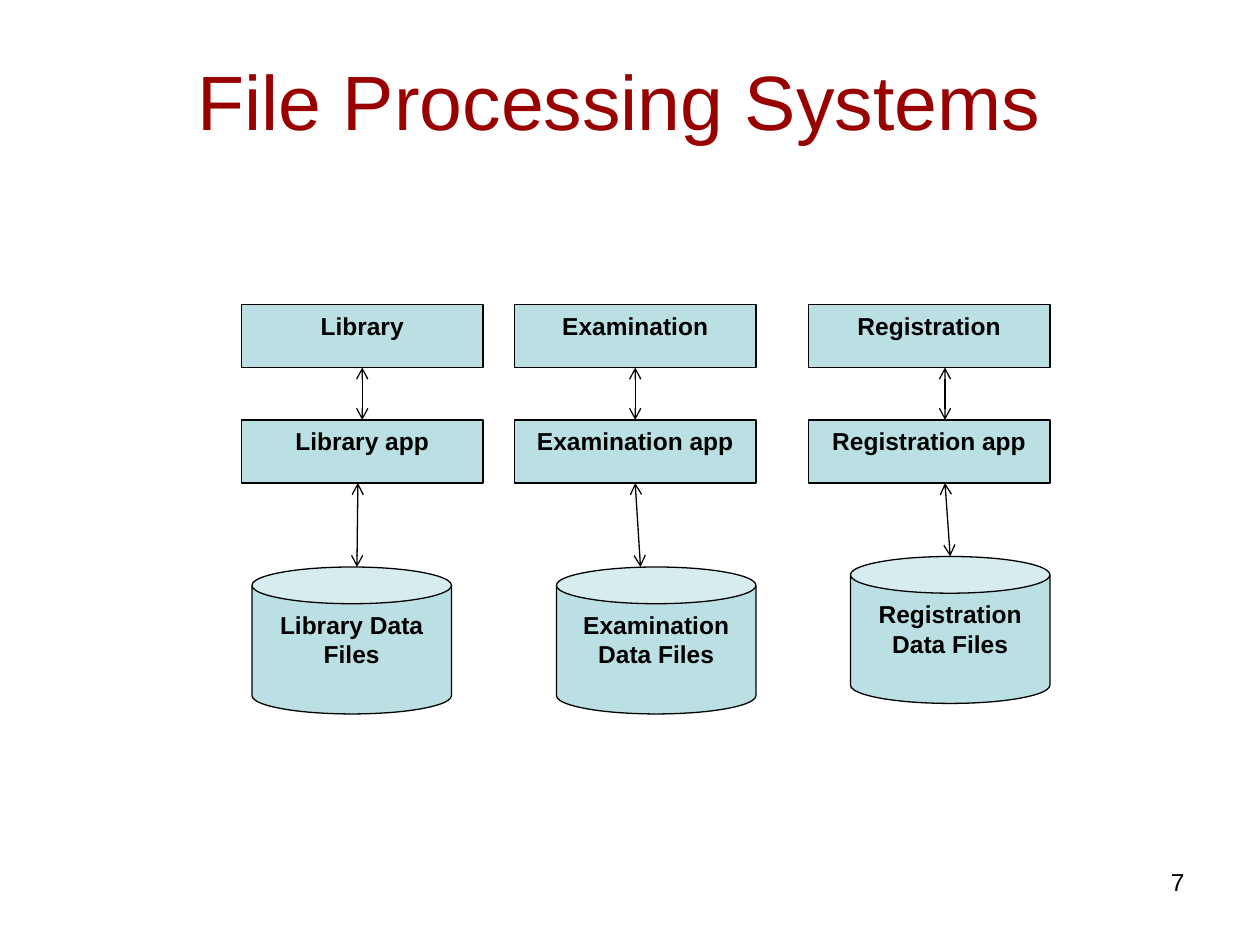
from lxml import etree
from pptx import Presentation
from pptx.dml.color import RGBColor
from pptx.enum import shapes, text
from pptx.oxml import ns
from pptx.util import Pt

RED = RGBColor(0x99, 0x00, 0x00)
BLACK = RGBColor(0x00, 0x00, 0x00)
TEAL = RGBColor(0xBB, 0xE0, 0xE3)

BOX_W, BOX_H = 138, 36
CAN_W, CAN_H = 114, 84
UNIT_Y, APP_Y = 174, 240

# name, box left, can left, can top, arrow x, x at both ends of the lower arrow
SYSTEMS = [
    ("Library", 138, 144, 324, 207, (204.5, 204)),
    ("Examination", 294, 318, 324, 363, (363, 366)),
    ("Registration", 462, 486, 318, 540, (540, 543)),
]


def put_text(shape, words, size=14, bold=False, color=BLACK,
             align=text.PP_ALIGN.CENTER, anchor=text.MSO_ANCHOR.TOP):
    frame = shape.text_frame
    frame.word_wrap = True
    frame.auto_size = text.MSO_AUTO_SIZE.NONE
    frame.vertical_anchor = anchor
    para = frame.paragraphs[0]
    para.alignment = align
    run = para.add_run()
    run.text = words
    font = run.font
    font.name, font.size, font.bold = "Arial", Pt(size), bold
    font.color.rgb = color


def add_title(slide, words):
    title = slide.shapes.title
    title.left, title.top = Pt(30), Pt(12)
    title.width, title.height = Pt(648), Pt(90)
    put_text(title, words, size=44, color=RED, anchor=text.MSO_ANCHOR.MIDDLE)


def add_node(slide, kind, words, x, y, w, h):
    node = slide.shapes.add_shape(kind, Pt(x), Pt(y), Pt(w), Pt(h))
    node.shadow.inherit = False
    node.fill.solid()
    node.fill.fore_color.rgb = TEAL
    node.line.color.rgb = BLACK
    node.line.width = Pt(0.75)
    put_text(node, words, bold=True)


def add_arrow(slide, x1, y1, x2, y2):
    """Draw a line with an open arrowhead at each end."""
    arrow = slide.shapes.add_connector(
        shapes.MSO_CONNECTOR.STRAIGHT, Pt(x1), Pt(y1), Pt(x2), Pt(y2))
    arrow.line.color.rgb = BLACK
    arrow.line.width = Pt(0.75)
    props = arrow.line._get_or_add_ln()
    for end in ("a:headEnd", "a:tailEnd"):
        etree.SubElement(props, ns.qn(end), type="arrow")
    etree.SubElement(props.getparent(), ns.qn("a:effectLst"))


def add_system(slide, name, box_x, can_x, can_y, mid, low):
    rect, can = shapes.MSO_SHAPE.RECTANGLE, shapes.MSO_SHAPE.CAN
    add_node(slide, rect, name, box_x, UNIT_Y, BOX_W, BOX_H)
    add_node(slide, rect, f"{name} app", box_x, APP_Y, BOX_W, BOX_H)
    add_node(slide, can, f"{name} Data Files", can_x, can_y, CAN_W, CAN_H)
    add_arrow(slide, mid, UNIT_Y + BOX_H, mid, APP_Y)
    add_arrow(slide, low[0], APP_Y + BOX_H, low[1], can_y)


def add_number(slide, words):
    box = slide.shapes.add_textbox(Pt(516), Pt(492), Pt(168), Pt(37.5))
    put_text(box, words, align=text.PP_ALIGN.RIGHT)


def main():
    deck = Presentation()
    deck.slide_width, deck.slide_height = Pt(720), Pt(540)
    slide = deck.slides.add_slide(deck.slide_layouts[5])
    add_title(slide, "File Processing Systems")
    for system in SYSTEMS:
        add_system(slide, *system)
    add_number(slide, "7")
    deck.save("out.pptx")


if __name__ == "__main__":
    main()
